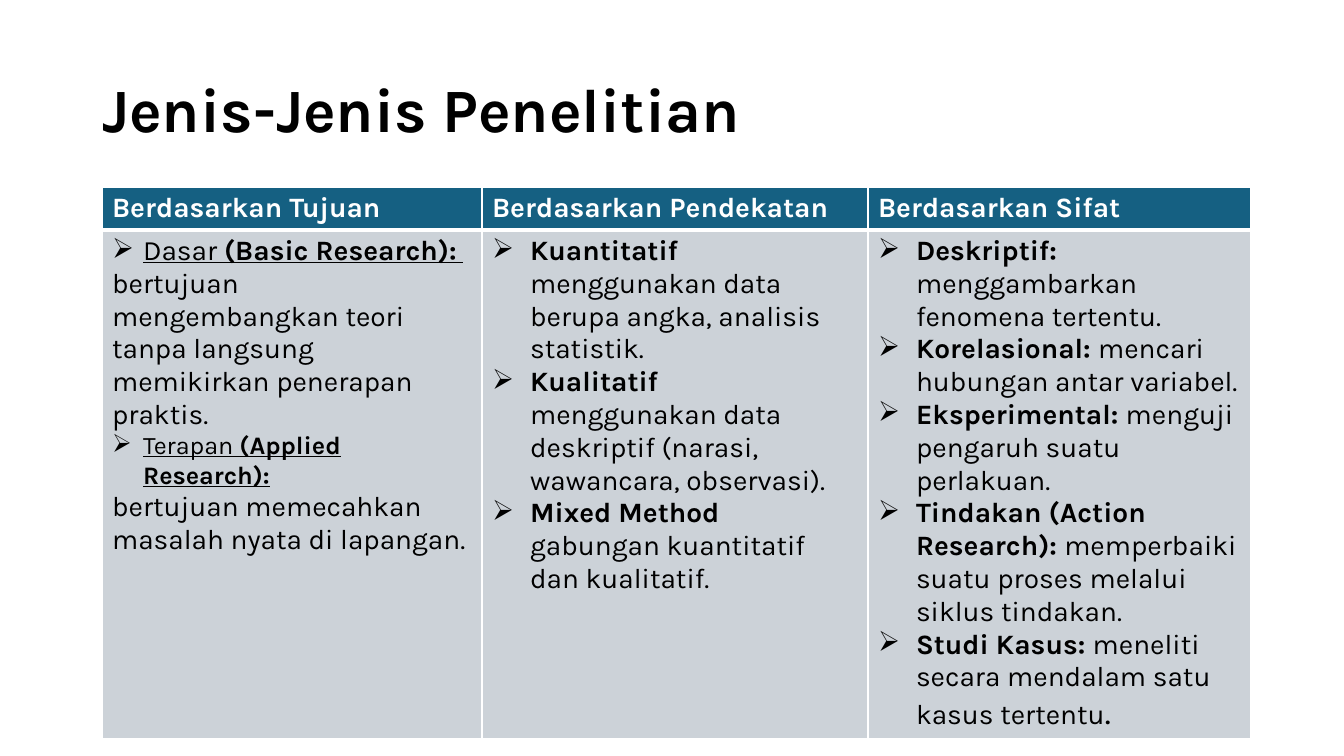
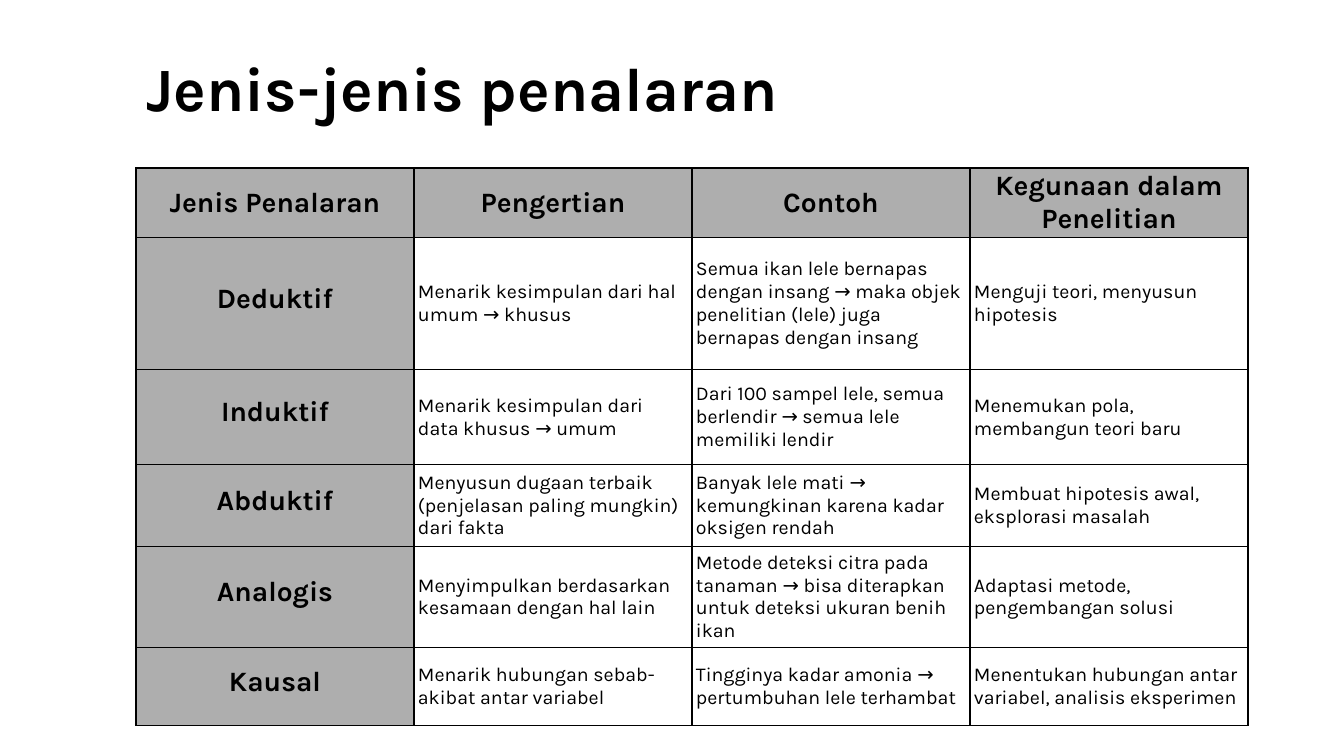
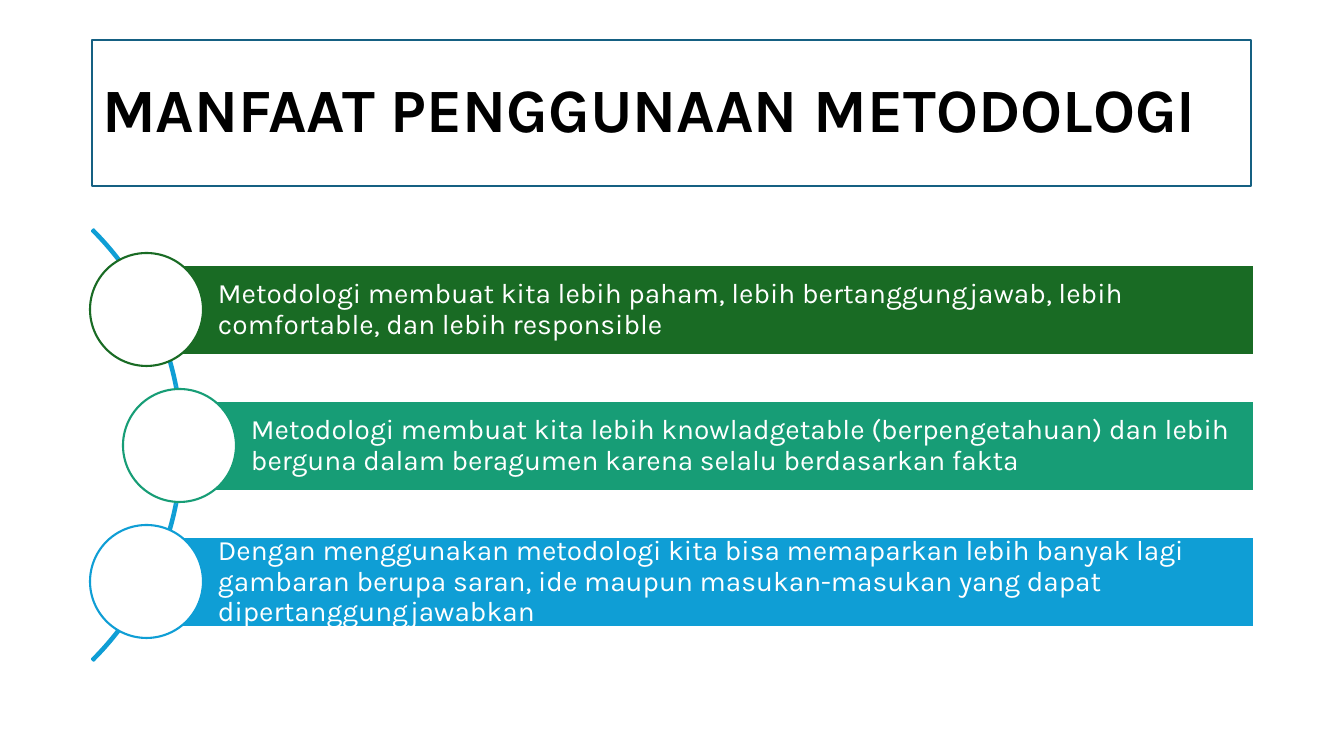
from pptx import Presentation
from pptx import util as u
from pptx.dml.color import RGBColor
from pptx.enum import shapes, text
from pptx.oxml import parse_xml
from pptx.oxml.ns import nsdecls

FONT = "Karla"
BLACK = RGBColor(0x00, 0x00, 0x00)
WHITE = RGBColor(0xFF, 0xFF, 0xFF)
NAVY = RGBColor(0x15, 0x60, 0x82)
MIST = RGBColor(0xCC, 0xD2, 0xD8)
GRAY = RGBColor(0xAE, 0xAE, 0xAE)
GREEN = RGBColor(0x19, 0x6B, 0x24)
TEAL = RGBColor(0x17, 0x9D, 0x76)
BLUE = RGBColor(0x0F, 0x9E, 0xD5)

HEADINGS = ["Berdasarkan Tujuan", "Berdasarkan Pendekatan", "Berdasarkan Sifat"]
GOALS = [
    (31, 20, [("Dasar ", "u"), ("(Basic Research):", "bu"), (" ", "u")]),
    (0, 20, [("bertujuan mengembangkan teori tanpa langsung memikirkan "
              "penerapan praktis.", "")]),
    (31, 18, [("Terapan ", "u"), ("(Applied Research):", "bu")]),
    (0, 20, [("bertujuan memecahkan masalah nyata di lapangan.", "")]),
]
APPROACHES = [
    ("Kuantitatif\n", "menggunakan data berupa angka, analisis statistik."),
    ("Kualitatif\n", "menggunakan data deskriptif (narasi, wawancara, observasi)."),
    ("Mixed Method\n", "gabungan kuantitatif dan kualitatif."),
]
NATURES = [
    ("Deskriptif: ", "menggambarkan fenomena tertentu."),
    ("Korelasional: ", "mencari hubungan antar variabel."),
    ("Eksperimental: ", "menguji pengaruh suatu perlakuan."),
    ("Tindakan (Action Research): ",
     "memperbaiki suatu proses melalui siklus tindakan."),
    ("Studi Kasus: ", "meneliti secara mendalam satu kasus tertentu"),
]
REASONING = [
    ["Jenis Penalaran", "Pengertian", "Contoh", "Kegunaan dalam Penelitian"],
    ["Deduktif", "Menarik kesimpulan dari hal umum → khusus",
     "Semua ikan lele bernapas dengan insang → maka objek penelitian (lele) "
     "juga bernapas dengan insang",
     "Menguji teori, menyusun hipotesis"],
    ["Induktif", "Menarik kesimpulan dari data khusus → umum",
     "Dari 100 sampel lele, semua berlendir → semua lele memiliki lendir",
     "Menemukan pola, membangun teori baru"],
    ["Abduktif", "Menyusun dugaan terbaik (penjelasan paling mungkin) dari fakta",
     "Banyak lele mati → kemungkinan karena kadar oksigen rendah",
     "Membuat hipotesis awal, eksplorasi masalah"],
    ["Analogis", "Menyimpulkan berdasarkan kesamaan dengan hal lain",
     "Metode deteksi citra pada tanaman → bisa diterapkan untuk deteksi "
     "ukuran benih ikan",
     "Adaptasi metode, pengembangan solusi"],
    ["Kausal", "Menarik hubungan sebab-akibat antar variabel",
     "Tingginya kadar amonia → pertumbuhan lele terhambat",
     "Menentukan hubungan antar variabel, analisis eksperimen"],
]
BENEFITS = [
    (GREEN, 0, "Metodologi membuat kita lebih paham, lebih bertanggungjawab, "
               "lebih comfortable, dan lebih responsible"),
    (TEAL, 33, "Metodologi membuat kita lebih knowladgetable (berpengetahuan) dan "
               "lebih berguna dalam beragumen karena selalu berdasarkan fakta"),
    (BLUE, 0, "Dengan menggunakan metodologi kita bisa memaparkan lebih banyak lagi "
              "gambaran berupa saran, ide maupun masukan-masukan yang dapat "
              "dipertanggungjawabkan"),
]


def px(length):
    """Turn px into EMU."""
    return u.Emu(round(length * 914400 / 100.8))


def set_font(paragraph, size, color, bold=False):
    """Format a whole paragraph in the deck font."""
    font = paragraph.font
    font.name, font.size, font.bold = FONT, u.Pt(size), bold
    font.color.rgb = color


def add_titled_slide(deck, heading, box):
    """Add a title-only slide with its heading in the given box."""
    slide = deck.slides.add_slide(deck.slide_layouts[5])
    title = slide.shapes.title
    title.left, title.top, title.width, title.height = map(px, box)
    frame = title.text_frame
    frame.text = heading
    frame.word_wrap = True
    frame.auto_size = text.MSO_AUTO_SIZE.NONE
    frame.vertical_anchor = text.MSO_ANCHOR.MIDDLE
    paragraph = frame.paragraphs[0]
    paragraph.alignment = text.PP_ALIGN.LEFT
    paragraph.line_spacing = 0.9
    set_font(paragraph, 44, BLACK, True)
    return slide


def add_grid(slide, left, top, widths, heights):
    """Add an unbanded table with the given column widths and row heights."""
    grid = slide.shapes.add_table(
        len(heights), len(widths), px(left), px(top),
        px(sum(widths)), px(sum(heights))).table
    grid.horz_banding = False
    for column, width in zip(grid.columns, widths):
        column.width = px(width)
    for row, height in zip(grid.rows, heights):
        row.height = px(height)
    return grid


def style_cell(cell, fill, border, top=1, bottom=1):
    """Set the fill and the four borders of a cell."""
    if fill is None:
        cell.fill.background()
    else:
        cell.fill.solid()
        cell.fill.fore_color.rgb = fill
    sides = [("L", 1), ("R", 1), ("T", top), ("B", bottom)]
    for place, (side, points) in enumerate(sides):
        line = parse_xml(
            f'<a:ln{side} {nsdecls("a")} w="{u.Pt(points)}"><a:solidFill>'
            f'<a:srgbClr val="{border}"/></a:solidFill></a:ln{side}>')
        cell._tc.get_or_add_tcPr().insert(place, line)


def add_bullet(paragraph, indent):
    """Give a paragraph an arrow bullet with a hanging indent."""
    properties = paragraph._p.get_or_add_pPr()
    properties.set("marL", str(px(indent)))
    properties.set("indent", str(-px(indent)))
    properties.append(parse_xml(f'<a:buChar {nsdecls("a")} char="➢"/>'))


def fill_paragraphs(frame, entries):
    """Write entries of indent, size and styled runs into a text frame."""
    for place, (indent, size, runs) in enumerate(entries):
        paragraph = frame.add_paragraph() if place else frame.paragraphs[0]
        if indent:
            add_bullet(paragraph, indent)
        set_font(paragraph, size, BLACK)
        for words, style in runs:
            run = paragraph.add_run()
            run.text = words.rstrip("\n")
            run.font.bold = "b" in style
            run.font.underline = "u" in style
            if words.endswith("\n"):
                paragraph.add_line_break()


def bulleted(pairs):
    """Turn pairs of term and meaning into bulleted entries."""
    return [(38, 20, [(term, "b"), (meaning, "")]) for term, meaning in pairs]


def add_types_table(slide, left, top):
    """Place the table of research types."""
    grid = add_grid(slide, left, top, [380, 386, 383], [41, 509])
    columns = [GOALS, bulleted(APPROACHES), bulleted(NATURES)]
    for place, (heading, entries) in enumerate(zip(HEADINGS, columns)):
        head, body = grid.cell(0, place), grid.cell(1, place)
        head.text = heading
        set_font(head.text_frame.paragraphs[0], 20, WHITE, True)
        style_cell(head, NAVY, WHITE, bottom=3)
        fill_paragraphs(body.text_frame, entries)
        style_cell(body, MIST, WHITE, top=3)
    stop = body.text_frame.paragraphs[-1].add_run()
    stop.text = "."
    stop.font.size = u.Pt(24)


def add_reasoning_table(slide, left, top):
    """Place the table of kinds of reasoning."""
    grid = add_grid(slide, left, top, [278] * 4, [69, 132, 95, 82, 101, 78])
    grid.first_row = False
    for row, entries in enumerate(REASONING):
        for column, words in enumerate(entries):
            cell = grid.cell(row, column)
            cell.text = words
            cell.vertical_anchor = text.MSO_ANCHOR.MIDDLE
            cell.margin_left = cell.margin_right = px(4)
            cell.margin_top = cell.margin_bottom = px(2)
            is_label = row == 0 or column == 0
            paragraph = cell.text_frame.paragraphs[0]
            if is_label:
                paragraph.alignment = text.PP_ALIGN.CENTER
            if row and is_label:
                paragraph.line_spacing = 0.5
            set_font(paragraph, 20 if is_label else 14, BLACK, is_label)
            style_cell(cell, GRAY if is_label else None, BLACK)


def add_figure(slide, kind, box, fill, line):
    """Add a preset shape with its fill and outline."""
    figure = slide.shapes.add_shape(kind, *map(px, box))
    figure.shadow.inherit = False
    if fill is None:
        figure.fill.background()
    else:
        figure.fill.solid()
        figure.fill.fore_color.rgb = fill
    figure.line.color.rgb = line
    figure.line.width = u.Pt(1.5)
    return figure


def add_benefits(slide, left, top, width):
    """Place the arc and its three bars, each led by a circle."""
    circle, bar_height, step, arc_size = 113, 90, 136, 610
    middle = top + step + circle // 2
    arc = add_figure(slide, shapes.MSO_SHAPE.BLOCK_ARC,
                     (left - 517, middle - arc_size // 2, arc_size, arc_size),
                     None, BLUE)
    for place, value in enumerate([189, 27, 0.004]):
        arc.adjustments[place] = value
    for place, (color, shift, words) in enumerate(BENEFITS):
        y = top + place * step
        inset = shift + circle // 2
        bar = add_figure(slide, shapes.MSO_SHAPE.RECTANGLE,
                         (left + inset, y + (circle - bar_height) // 2 + 1,
                          width - inset, bar_height), color, WHITE)
        frame = bar.text_frame
        frame.text = words
        frame.word_wrap = True
        frame.vertical_anchor = text.MSO_ANCHOR.MIDDLE
        frame.margin_left = px(72)
        frame.margin_top = frame.margin_right = frame.margin_bottom = px(6)
        paragraph = frame.paragraphs[0]
        paragraph.alignment = text.PP_ALIGN.LEFT
        paragraph.line_spacing = 0.9
        set_font(paragraph, 20, WHITE)
        add_figure(slide, shapes.MSO_SHAPE.OVAL,
                   (left + shift, y, circle, circle), WHITE, color)


def main():
    """Build the deck."""
    deck = Presentation()
    deck.slide_width, deck.slide_height = px(1344), px(756)

    types = add_titled_slide(deck, "Jenis-Jenis Penelitian", (92, 40, 1159, 146))
    add_types_table(types, 102, 187)

    reasoning = add_titled_slide(deck, "Jenis-jenis penalaran", (136, 44, 1113, 95))
    add_reasoning_table(reasoning, 136, 168)

    benefits = add_titled_slide(
        deck, "MANFAAT PENGGUNAAN METODOLOGI", (92, 40, 1159, 146))
    frame = benefits.shapes.title
    frame.fill.solid()
    frame.fill.fore_color.rgb = WHITE
    frame.line.color.rgb = NAVY
    frame.line.width = u.Pt(1.5)
    add_benefits(benefits, 90, 253, 1164)

    deck.save("out.pptx")


if __name__ == "__main__":
    main()
